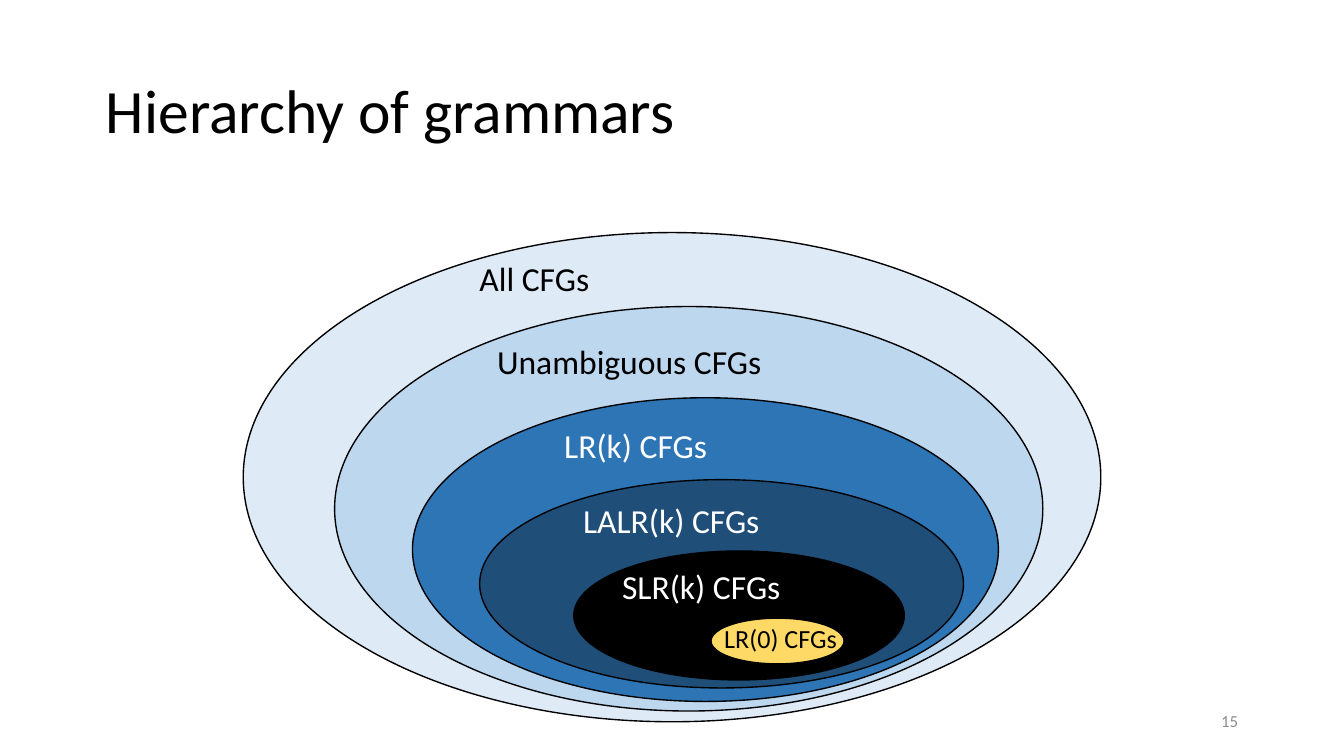
from pptx import Presentation
from pptx.dml.color import RGBColor
from pptx.enum import shapes, text
from pptx.util import Pt

BLACK = RGBColor(0x00, 0x00, 0x00)
WHITE = RGBColor(0xFF, 0xFF, 0xFF)
GREY = RGBColor(0x8C, 0x8C, 0x8C)
PALE_BLUE = RGBColor(0xDE, 0xEB, 0xF7)
LIGHT_BLUE = RGBColor(0xBD, 0xD7, 0xEE)
MID_BLUE = RGBColor(0x2E, 0x75, 0xB6)
DARK_BLUE = RGBColor(0x1F, 0x4E, 0x79)
YELLOW = RGBColor(0xFF, 0xD9, 0x66)

# Grammar classes, outermost first:
# label, ellipse bounds, fill, label bounds, text colour, text size
GRAMMARS = [
    ("All CFGs", (130.3, 124.6, 459.4, 262.1), PALE_BLUE,
     (249.8, 134.6, 126.7, 28.8), BLACK, 18),
    ("Unambiguous CFGs", (179.3, 164.2, 379.4, 216.7), LIGHT_BLUE,
     (259.2, 179.3, 173.5, 28.8), BLACK, 18),
    ("LR(k) CFGs", (221, 213.1, 313.9, 162.7), MID_BLUE,
     (295.2, 223.9, 118.1, 28.8), WHITE, 18),
    ("LALR(k) CFGs", (257, 257, 259.2, 111.6), DARK_BLUE,
     (305.3, 264.2, 126.7, 28.8), WHITE, 18),
    ("SLR(k) CFGs", (307.4, 295.2, 177.1, 69.1), BLACK,
     (326.2, 299.5, 126.7, 28.8), WHITE, 18),
    ("LR(0) CFGs", (380.9, 331.2, 71.3, 24.5), YELLOW,
     (380.9, 329.8, 79.9, 24.5), BLACK, 14),
]


def add_label(parent, words, bounds, size, color, frame_format=None, para_format=None):
    box = parent.shapes.add_textbox(*map(Pt, bounds))
    frame = box.text_frame
    for name, value in {"word_wrap": True, **(frame_format or {})}.items():
        setattr(frame, name, value)
    para = frame.paragraphs[0]
    for name, value in (para_format or {}).items():
        setattr(para, name, value)
    span = para.add_run()
    span.text = words
    for name, value in {"name": "Calibri", "size": Pt(size)}.items():
        setattr(span.font, name, value)
    span.font.color.rgb = color


def add_ellipse(parent, bounds, fill):
    ellipse = parent.shapes.add_shape(shapes.MSO_SHAPE.OVAL, *map(Pt, bounds))
    ellipse.shadow.inherit = False
    ellipse.fill.solid()
    ellipse.fill.fore_color.rgb = fill
    ellipse.line.color.rgb = BLACK
    ellipse.line.width = Pt(0.75)


def add_grammar(page, label, bounds, fill, label_bounds, color, size):
    group = page.shapes.add_group_shape()
    add_ellipse(group, bounds, fill)
    add_label(group, label, label_bounds, size, color,
              {"auto_size": text.MSO_AUTO_SIZE.SHAPE_TO_FIT_TEXT})


def main():
    deck = Presentation()
    deck.slide_width, deck.slide_height = Pt(720), Pt(405)
    page = deck.slides.add_slide(deck.slide_layouts[6])
    middle = {"vertical_anchor": text.MSO_ANCHOR.MIDDLE}

    # Title
    add_label(page, "Hierarchy of grammars", (49.7, 21.6, 620.6, 78.5), 33, BLACK,
              middle, {"line_spacing": 0.9})

    # Nested grammar classes
    for grammar in GRAMMARS:
        add_grammar(page, *grammar)

    # Page number
    add_label(page, "15", (508.3, 375.1, 162, 21.6), 9, GREY,
              middle, {"alignment": text.PP_ALIGN.RIGHT})

    deck.save("out.pptx")


if __name__ == "__main__":
    main()
